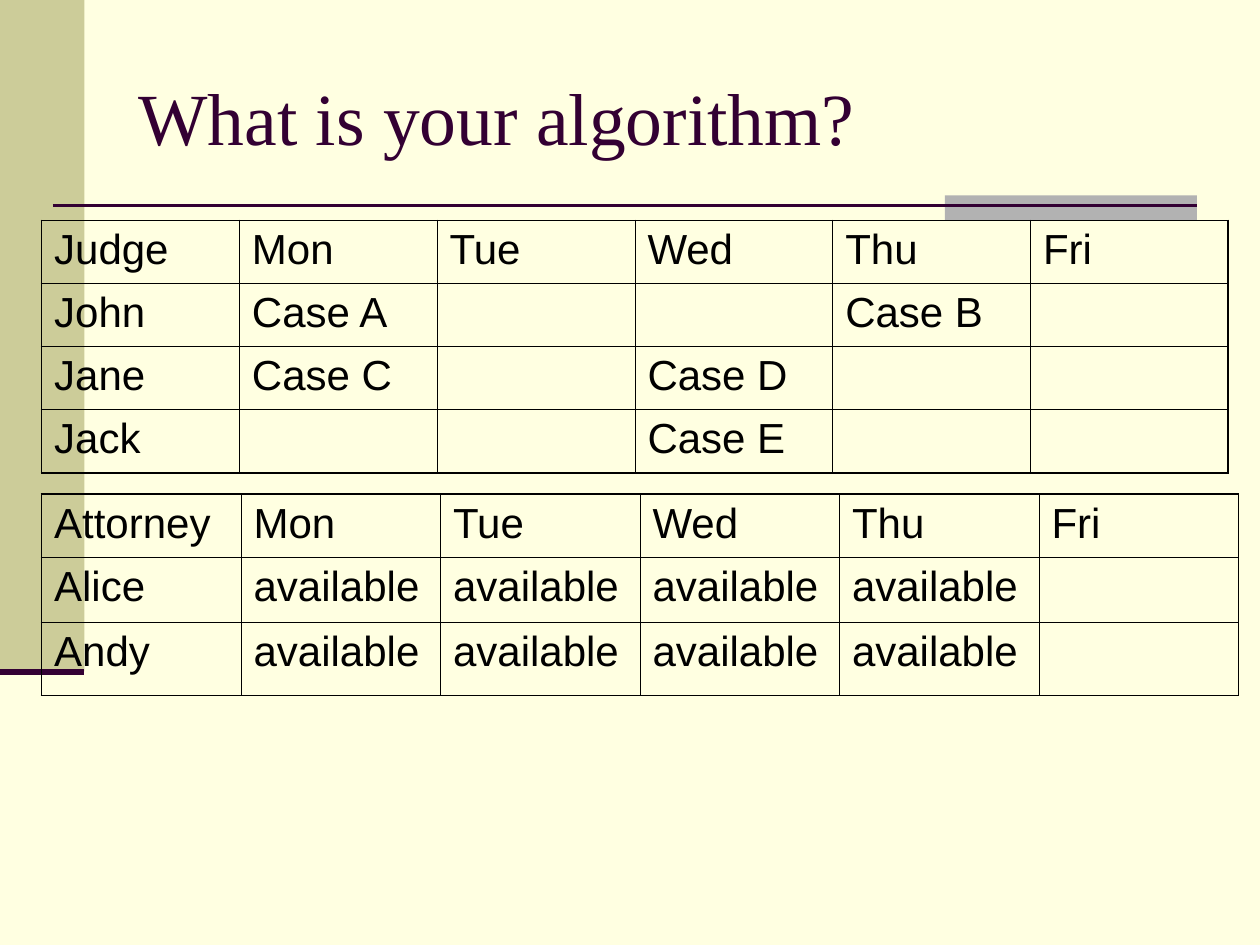
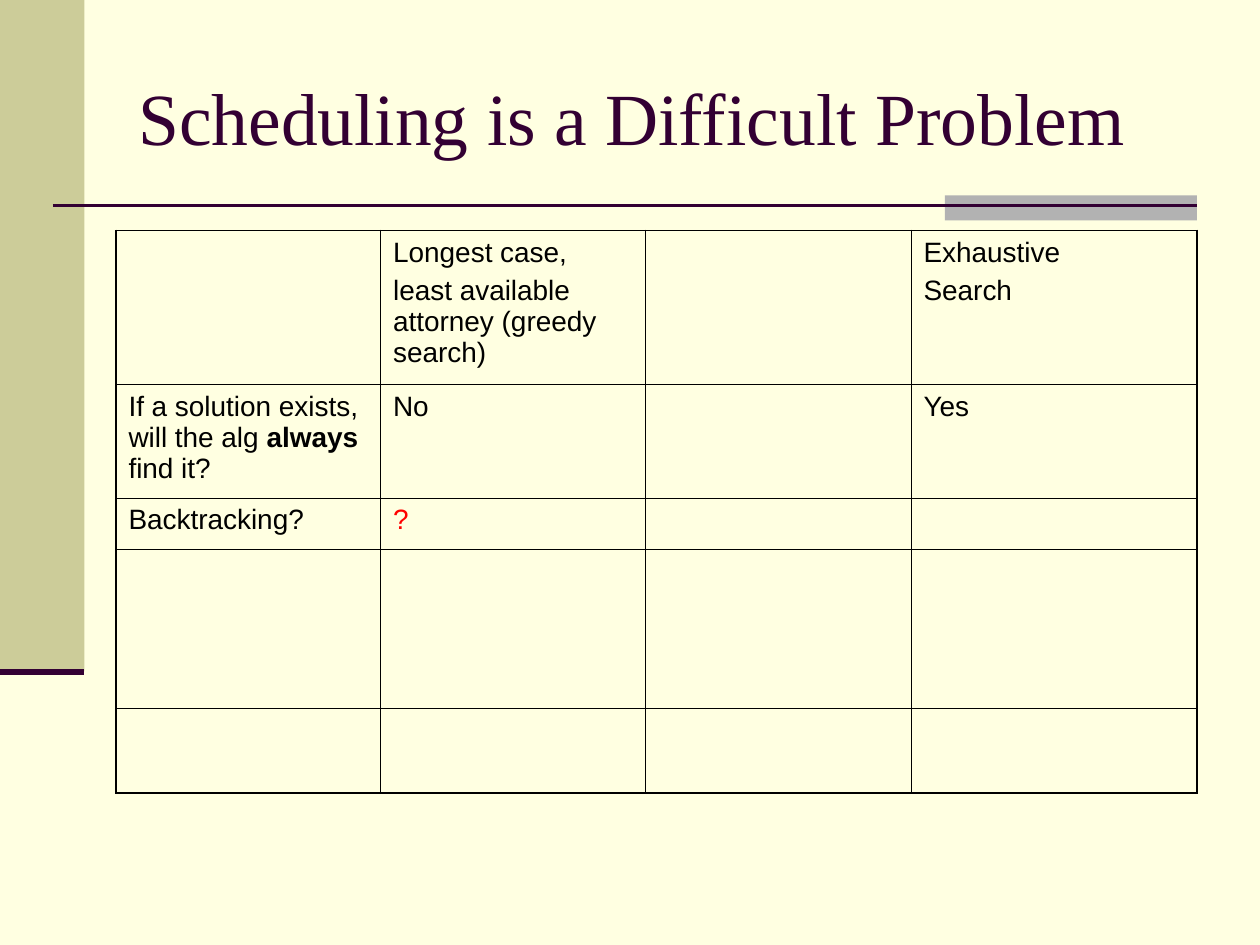
from dataclasses import dataclass

from lxml.etree import SubElement
from pptx import Presentation
from pptx.dml.color import RGBColor as RGB
from pptx.enum.shapes import MSO_CONNECTOR as CONNECTOR, MSO_SHAPE as SHAPE
from pptx.enum.text import MSO_ANCHOR as ANCHOR
from pptx.oxml.ns import qn
from pptx.util import Emu, Pt

PX = 9144  # EMU per px, 100 px to the inch


@dataclass(frozen=True)
class Theme:
    paper: str = "FFFFE1"
    sidebar: str = "CCCC99"
    accent: str = "B2B2B2"
    plum: str = "330033"
    ink: str = "000000"
    alert: str = "FF0000"
    title_font: str = "Times New Roman"
    body_font: str = "Arial"
    title_size: int = 42
    schedule_size: int = 24
    comparison_size: int = 16
    outer_border: float = 1.08
    inner_border: float = 0.45


class Deck:
    def __init__(self, theme):
        self.theme = theme
        self.prs = Presentation()
        self.prs.slide_width, self.prs.slide_height = self.px(1000, 750)
        self.slide = None

    @staticmethod
    def px(*lengths):
        return [Emu(length * PX) for length in lengths]

    @staticmethod
    def style(paragraph, font, size, color):
        paragraph.font.name = font
        paragraph.font.size = Pt(size)
        paragraph.font.color.rgb = RGB.from_string(color)

    def add_slide(self, title):
        """Start a slide with the shared background, bands, rules and title."""
        theme = self.theme
        self.slide = self.prs.slides.add_slide(self.prs.slide_layouts[6])
        background = self.slide.background.fill
        background.solid()
        background.fore_color.rgb = RGB.from_string(theme.paper)
        self.band(0, 0, 67, 533, theme.sidebar)
        self.band(750, 155, 200, 20, theme.accent)
        self.rule(42, 163, 950, 163, 1.5)
        self.rule(0, 533, 67, 533, 3.5)
        self.title(title)

    def band(self, left, top, width, height, color):
        band = self.slide.shapes.add_shape(
            SHAPE.RECTANGLE, *self.px(left, top, width, height))
        band.shadow.inherit = False
        band.fill.solid()
        band.fill.fore_color.rgb = RGB.from_string(color)
        band.line.fill.background()

    def rule(self, x1, y1, x2, y2, weight):
        rule = self.slide.shapes.add_connector(
            CONNECTOR.STRAIGHT, *self.px(x1, y1, x2, y2))
        rule.line.color.rgb = RGB.from_string(self.theme.plum)
        rule.line.width = Pt(weight)
        SubElement(rule._element.spPr, qn("a:effectLst"))

    def title(self, text):
        frame = self.slide.shapes.add_textbox(
            *self.px(100, 30, 850, 125)).text_frame
        frame.word_wrap = True
        frame.vertical_anchor = ANCHOR.MIDDLE
        paragraph = frame.paragraphs[0]
        paragraph.text = text
        self.style(paragraph, self.theme.title_font, self.theme.title_size,
                   self.theme.plum)

    def table(self, left, top, width, rows, heights, size,
              widths=(), gap=0, highlights=()):
        """Draw a grid; columns are equal unless widths are given."""
        row_count, column_count = len(rows), len(rows[0])
        grid = self.slide.shapes.add_table(
            row_count, column_count,
            *self.px(left, top, width, sum(heights))).table
        grid.first_row = grid.horz_banding = False
        for column, column_width in zip(grid.columns, self.px(*widths)):
            column.width = column_width
        for row, height in zip(grid.rows, self.px(*heights)):
            row.height = height
        for r, row in enumerate(rows):
            for c, text in enumerate(row):
                cell = grid.cell(r, c)
                color = self.theme.alert if (r, c) in highlights else self.theme.ink
                self.fill_cell(cell, text, size, gap, color)
                self.border_cell(cell, L=c == 0, R=c == column_count - 1,
                                 T=r == 0, B=r == row_count - 1)
                cell.fill.background()

    def fill_cell(self, cell, text, size, gap, color):
        """Lines become paragraphs; text between asterisks is bold."""
        frame = cell.text_frame
        for i, line in enumerate(text.split("\n")):
            paragraph = frame.add_paragraph() if i else frame.paragraphs[0]
            if i:
                paragraph.space_before = Pt(gap)
            self.style(paragraph, self.theme.body_font, size, color)
            for j, part in enumerate(line.split("*")):
                if part:
                    run = paragraph.add_run()
                    run.text = part
                    if j % 2:
                        run.font.bold = True

    def border_cell(self, cell, **outer_sides):
        properties = cell._tc.get_or_add_tcPr()
        for side, is_outer in outer_sides.items():
            weight = self.theme.outer_border if is_outer else self.theme.inner_border
            border = SubElement(properties, qn(f"a:ln{side}"), w=str(int(Pt(weight))))
            fill = SubElement(border, qn("a:solidFill"))
            SubElement(fill, qn("a:srgbClr"), val=self.theme.ink)


def main():
    theme = Theme()
    deck = Deck(theme)
    days = ["Mon", "Tue", "Wed", "Thu", "Fri"]

    # Judge and attorney schedules
    deck.add_slide("What is your algorithm?")
    judges = [
        ["Judge", *days],
        ["John", "Case A", "", "", "Case B", ""],
        ["Jane", "Case C", "", "Case D", "", ""],
        ["Jack", "", "", "Case E", "", ""],
    ]
    deck.table(33, 175, 942, judges, [50] * 4, theme.schedule_size)
    attorneys = [["Attorney", *days]] + [
        [name, *["available"] * 4, ""] for name in ("Alice", "Andy")]
    deck.table(33, 392, 950, attorneys, [50, 52, 58], theme.schedule_size)

    # Comparison of search strategies
    deck.add_slide("Scheduling is a Difficult Problem")
    strategies = [
        ["", "Longest case,\nleast available attorney (greedy search)", "",
         "Exhaustive\nSearch"],
        ["If a solution exists, will the alg *always* find it?", "No", "", "Yes"],
        ["Backtracking?", "?", "", ""],
        [""] * 4,
        [""] * 4,
    ]
    deck.table(92, 183, 858, strategies, [122, 90, 41, 126, 67],
               theme.comparison_size, widths=[210, 210, 211, 227], gap=4,
               highlights=[(2, 1)])

    deck.prs.save("out.pptx")


if __name__ == "__main__":
    main()
